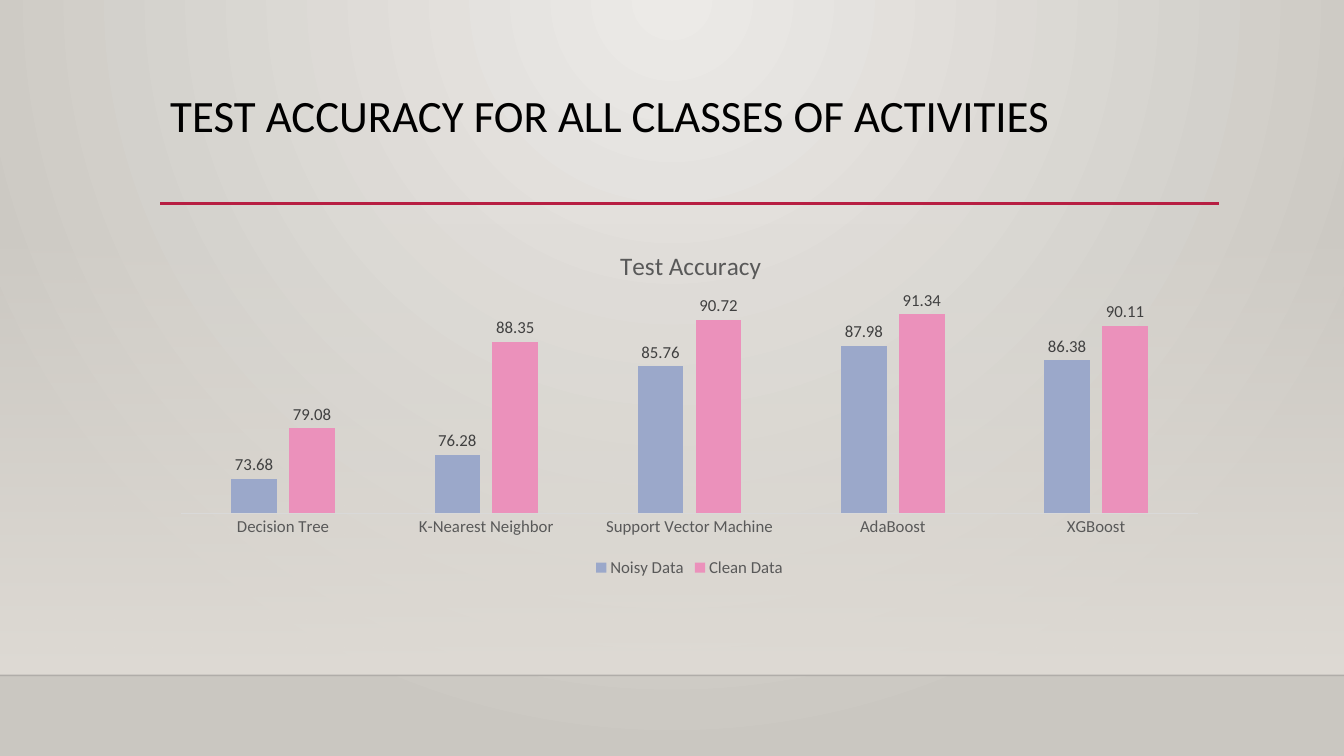
from pptx import Presentation
from pptx.chart.data import CategoryChartData as ChartData
from pptx.dml.color import RGBColor
from pptx.enum.chart import XL_CHART_TYPE as Kind, XL_LABEL_POSITION as Label
from pptx.enum.chart import XL_LEGEND_POSITION as Legend, XL_TICK_MARK as Tick
from pptx.enum.shapes import MSO_CONNECTOR as Link, MSO_SHAPE as Shape
from pptx.enum.text import MSO_ANCHOR as Anchor
from pptx.oxml import parse_xml
from pptx.oxml.ns import nsdecls, qn
from pptx.util import Inches, Pt

WIDE, HIGH = 13.33, 7.5
LEFT, SPAN = 1.59, 10.5
FLOOR = 6.7
FONT = "Calibri"
GREY = "595959"
MODELS = ["Decision Tree", "K-Nearest Neighbor", "Support Vector Machine",
          "AdaBoost", "XGBoost"]
SERIES = [("Noisy Data", "9BA8CA", [73.68, 76.28, 85.76, 87.98, 86.38]),
          ("Clean Data", "EB91BB", [79.08, 88.35, 90.72, 91.34, 90.11])]


def paint(color, code):
    color.rgb = RGBColor.from_string(code)


def style(font, size, code):
    font.name, font.size = FONT, Pt(size)
    font.bold = False
    paint(font.color, code)


def write(frame, text, size=12, color=GREY, leading=None):
    para = frame.paragraphs[0]
    if leading:
        para.line_spacing = leading
    run = para.add_run()
    run.text = text
    style(run.font, size, color)


def blend(root, stops, shade):
    """Swap the first solid fill under root for a gradient."""
    marks = "".join(
        f'<a:gs pos="{pos * 1000}"><a:srgbClr val="{code}">'
        f'<a:alpha val="{alpha * 1000}"/></a:srgbClr></a:gs>'
        for pos, code, alpha in stops)
    solid = next(root.iter(qn("a:solidFill")))
    solid.getparent().replace(solid, parse_xml(
        f'<a:gradFill {nsdecls("a")} rotWithShape="1">'
        f'<a:gsLst>{marks}</a:gsLst>{shade}</a:gradFill>'))


def rule(slide, box, color, width, alpha=100):
    x, y, span = box
    line = slide.shapes.add_connector(
        Link.STRAIGHT, Inches(x), Inches(y), Inches(x + span), Inches(y))
    line.line.width = Pt(width)
    paint(line.line.color, color)
    props = line._element.spPr
    tint = next(props.iter(qn("a:srgbClr")))
    tint.append(parse_xml(f'<a:alpha {nsdecls("a")} val="{alpha * 1000}"/>'))
    props.append(parse_xml(f'<a:effectLst {nsdecls("a")}/>'))


def stage(slide):
    """Backdrop with a spotlight, a fading wall and a floor edge."""
    slide.background.fill.solid()
    blend(slide._element, [(0, "ECEAE7", 100), (100, "CAC7C1", 100)],
          '<a:path path="circle"><a:fillToRect l="43000" t="0" '
          'r="43000" b="100000"/></a:path>')
    top = 2.21
    wall = slide.shapes.add_shape(
        Shape.RECTANGLE, 0, Inches(top), Inches(WIDE), Inches(FLOOR - top))
    wall.shadow.inherit = False
    wall.line.fill.background()
    wall.fill.solid()
    blend(wall._element.spPr, [(0, "DFDBD5", 0), (100, "DFDBD5", 100)],
          '<a:lin ang="5400000" scaled="0"/>')
    rule(slide, (0, FLOOR, WIDE), "000001", 1, alpha=20)


def header(slide, box, text):
    x, y, w, h = box
    frame = slide.shapes.add_textbox(*map(Inches, box)).text_frame
    frame.word_wrap = True
    frame.vertical_anchor = Anchor.TOP
    write(frame, text, size=32, color="000000", leading=0.9)
    rule(slide, (x, y + h, w), "B71E42", 2.5)


def place(part, index, **spots):
    """Fix a chart part at shares of the chart's size."""
    for old in part.findall(qn("c:layout")):
        part.remove(old)
    inner = '<c:layoutTarget val="inner"/>' if "w" in spots else ""
    modes = "".join(f'<c:{key}Mode val="edge"/>' for key in "xy")
    sizes = "".join(f'<c:{key} val="{val}"/>' for key, val in spots.items())
    part.insert(index, parse_xml(
        f'<c:layout {nsdecls("c")}><c:manualLayout>{inner}{modes}{sizes}'
        '</c:manualLayout></c:layout>'))


def bars(slide, box, title):
    data = ChartData()
    data.categories = MODELS
    for name, color, vals in SERIES:
        data.add_series(name, vals)
    chart = slide.shapes.add_chart(
        Kind.COLUMN_CLUSTERED, *map(Inches, box), data).chart
    style(chart.font, 10, "000000")

    chart.has_title = True
    write(chart.chart_title.text_frame, title, size=18)
    root = chart._chartSpace
    place(next(root.iter(qn("c:title"))), 1, x=0.43, y=0.06)
    place(next(root.iter(qn("c:plotArea"))), 0, x=0.02, y=0.24, w=0.96, h=0.57)

    chart.has_legend = True
    chart.legend.position = Legend.BOTTOM
    chart.legend.include_in_layout = False
    style(chart.legend.font, 12, GREY)

    base = chart.category_axis
    base.major_tick_mark = base.minor_tick_mark = Tick.NONE
    base.format.line.width = Pt(0.75)
    paint(base.format.line.color, "D9D9D9")
    style(base.tick_labels.font, 12, GREY)
    scale = chart.value_axis
    scale.minimum_scale, scale.maximum_scale = 70, 92
    scale.major_unit = 2
    scale.has_major_gridlines = False
    scale.visible = False

    plot = chart.plots[0]
    plot.gap_width, plot.overlap = 219, -27
    plot.vary_by_categories = False
    for series, (name, color, vals) in zip(plot.series, SERIES):
        series.format.fill.solid()
        paint(series.format.fill.fore_color, color)
        labels = series.data_labels
        labels.show_value = True
        labels.position = Label.OUTSIDE_END
        style(labels.font, 12, "404040")


def main():
    deck = Presentation()
    deck.slide_width, deck.slide_height = Inches(WIDE), Inches(HIGH)
    slide = deck.slides.add_slide(deck.slide_layouts[6])
    stage(slide)
    header(slide, (LEFT, 0.88, SPAN, 1.14),
           "TEST ACCURACY FOR ALL CLASSES OF ACTIVITIES")
    bars(slide, (LEFT, 2.2, SPAN, 3.57), "Test Accuracy")
    deck.save("out.pptx")


if __name__ == "__main__":
    main()
